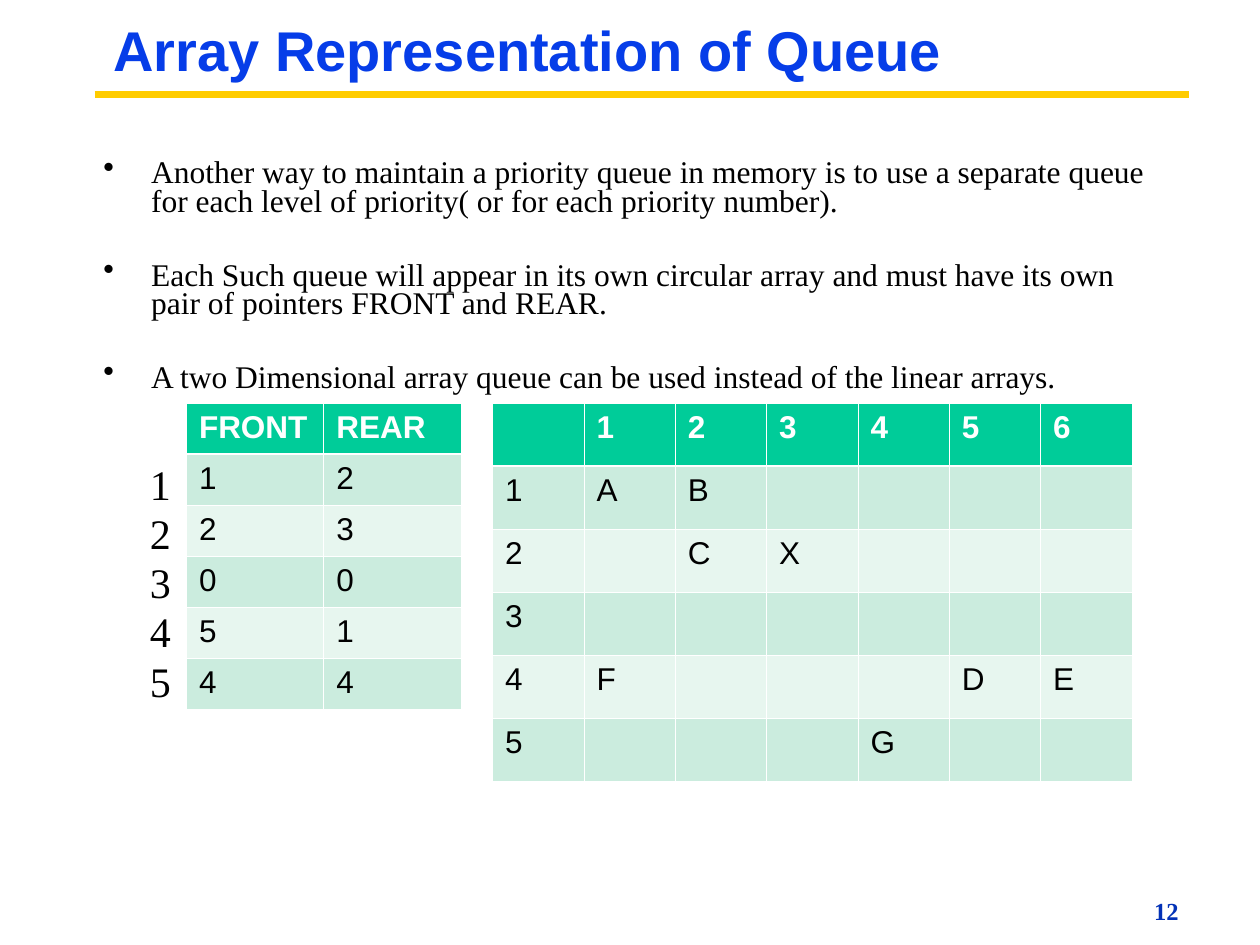
from dataclasses import dataclass
from pptx import Presentation
from pptx.dml.color import RGBColor
from pptx.enum.shapes import MSO_CONNECTOR
from pptx.oxml.ns import qn
from pptx.util import Inches, Pt
from lxml.etree import SubElement

COLORS = {
    "title": "063DE8", "rule": "FFCC00", "number": "0332B7", "text": "000000",
    "head": "00CC99", "dark": "CBECDE", "light": "E7F6EF", "white": "FFFFFF",
}
SERIF, SANS = "Times New Roman", "Arial"
THIN, THICK = 0.45, 1.47
TIGHT, ROOMY = (0.07, 0.03), (0.1, 0.05)


@dataclass
class Style:
    size: float
    face: str
    color: str = "text"
    bold: bool = False


@dataclass
class Label:
    text: str
    left: float
    top: float
    width: float
    height: float
    style: Style
    inset: tuple[float, float] = TIGHT
    spacing: float = 1.0


@dataclass
class Grid:
    left: float
    top: float
    col: float
    row: float
    rows: list[list[str]]


POINTS = [
    "Another way to maintain a priority queue in memory is to use a separate queue "
    "for each level of priority( or for each priority number).",
    "Each Such queue will appear in its own circular array and must have its own "
    "pair of pointers FRONT and REAR.",
    "A two Dimensional array queue can be used instead of the linear arrays.",
]
ENDS = Grid(1.48, 3.2, 1.09, 0.405, [
    ["FRONT", "REAR"], ["1", "2"], ["2", "3"], ["0", "0"], ["5", "1"], ["4", "4"],
])
QUEUE = Grid(3.91, 3.2, 0.725, 0.5, [
    ["", "1", "2", "3", "4", "5", "6"],
    ["1", "A", "B", "", "", "", ""],
    ["2", "", "C", "X", "", "", ""],
    ["3", "", "", "", "", "", ""],
    ["4", "F", "", "", "", "D", "E"],
    ["5", "", "", "", "G", "", ""],
])
HEAD = Style(18, SANS, "white", True)
CELL = Style(18, SANS)


def rgb(name: str) -> RGBColor:
    return RGBColor.from_string(COLORS[name])


def format_font(font, style: Style) -> None:
    font.size, font.name, font.bold = Pt(style.size), style.face, style.bold
    font.color.rgb = rgb(style.color)


def add_label(slide, item: Label):
    box = slide.shapes.add_textbox(
        Inches(item.left), Inches(item.top), Inches(item.width), Inches(item.height))
    frame = box.text_frame
    frame.word_wrap = True
    frame.margin_left = frame.margin_right = Inches(item.inset[0])
    frame.margin_top = frame.margin_bottom = Inches(item.inset[1])
    frame.text = item.text
    for par in frame.paragraphs:
        par.line_spacing = item.spacing
        for run in par.runs:
            format_font(run.font, item.style)
    return frame


def add_bullet(par) -> None:
    props = par._p.get_or_add_pPr()
    props.set("marL", str(Inches(0.38)))
    props.set("indent", str(Inches(-0.38)))
    SubElement(props, qn("a:buChar"), char="•")


def add_points(slide) -> None:
    frame = add_label(slide, Label(
        "\n".join(POINTS), 0.75, 1.25, 8.58, 3.97, Style(18, SERIF), spacing=0.75))
    for index, par in enumerate(frame.paragraphs):
        par.space_before = Pt(26 if index else 0)
        add_bullet(par)


def add_edge(cell, side: str, width: float) -> None:
    edge = SubElement(cell._tc.get_or_add_tcPr(), qn(f"a:ln{side}"), w=str(Pt(width)))
    fill = SubElement(edge, qn("a:solidFill"))
    SubElement(fill, qn("a:srgbClr"), val=COLORS["white"])


def add_grid(slide, grid: Grid) -> None:
    rows, cols = len(grid.rows), len(grid.rows[0])
    table = slide.shapes.add_table(
        rows, cols, Inches(grid.left), Inches(grid.top),
        Inches(cols * grid.col), Inches(rows * grid.row)).table
    for col in table.columns:
        col.width = Inches(grid.col)
    for r, texts in enumerate(grid.rows):
        table.rows[r].height = Inches(grid.row)
        for c, text in enumerate(texts):
            cell = table.cell(r, c)
            widths = {"L": THIN, "R": THIN, "T": THICK if r == 1 else THIN,
                      "B": THICK if r == 0 else THIN}
            for side, width in widths.items():
                add_edge(cell, side, width)
            cell.fill.solid()
            band = "dark" if r % 2 else "light"
            cell.fill.fore_color.rgb = rgb(band if r else "head")
            cell.text_frame.text = text
            for run in cell.text_frame.paragraphs[0].runs:
                format_font(run.font, CELL if r else HEAD)


def add_rule(slide) -> None:
    rule = slide.shapes.add_connector(
        MSO_CONNECTOR.STRAIGHT, Inches(0.75), Inches(0.75), Inches(9.44), Inches(0.75))
    rule.line.color.rgb = rgb("rule")
    rule.line.width = Pt(4.5)
    SubElement(rule._element.spPr, qn("a:effectLst"))


def main() -> None:
    deck = Presentation()
    deck.slide_width, deck.slide_height = Inches(10), Inches(7.5)
    slide = deck.slides.add_slide(deck.slide_layouts[6])
    add_label(slide, Label("12", 9.09, 7.08, 0.85, 0.29, Style(14, SERIF, "number", True)))
    add_rule(slide)
    add_label(slide, Label("Array Representation of Queue", 0.83, 0.17, 7.92, 3.76,
                           Style(32, SANS, "title", True), spacing=0.87))
    add_points(slide)
    add_grid(slide, ENDS)
    for index in range(5):
        add_label(slide, Label(str(index + 1), 1.09, 3.59 + index * 0.39, 0.31, 0.5,
                               Style(24, SERIF), ROOMY))
    add_grid(slide, QUEUE)
    deck.save("out.pptx")


if __name__ == "__main__":
    main()
